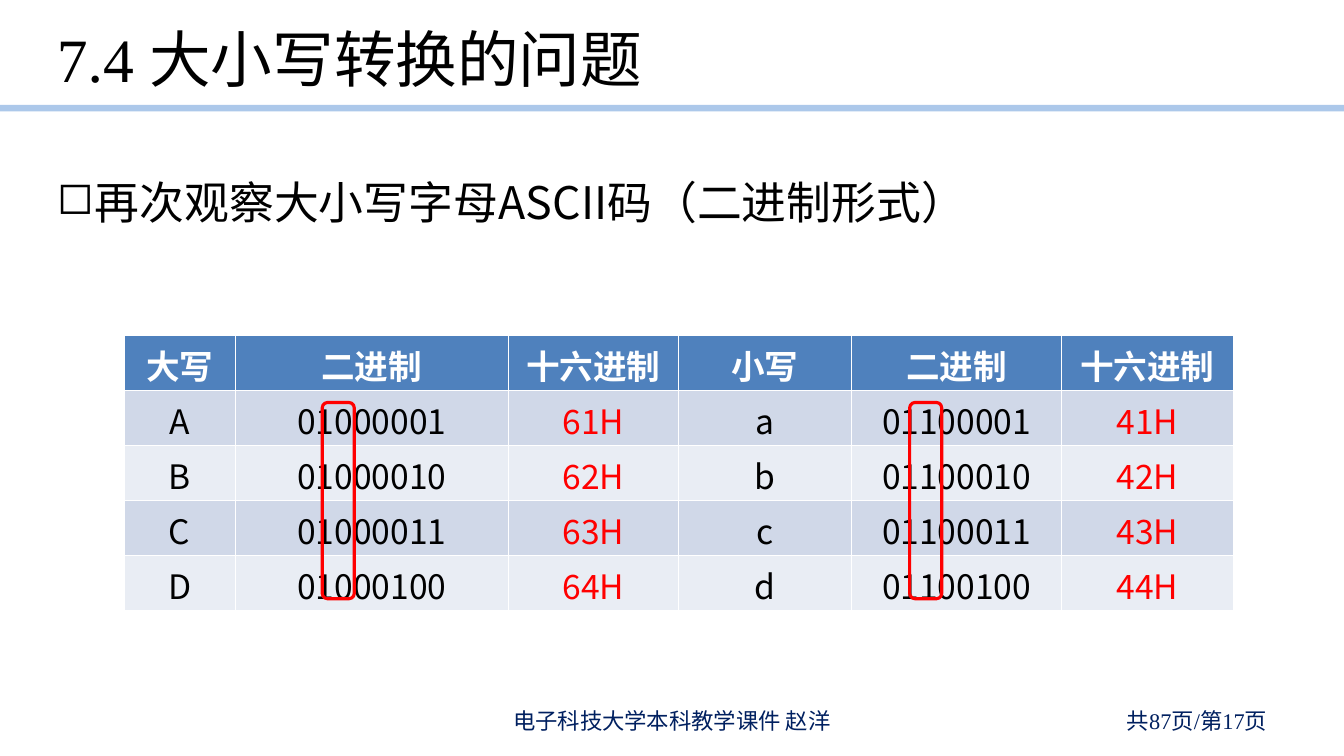
from dataclasses import dataclass

import pptx
import pptx.util
from pptx.dml.color import RGBColor
from pptx.enum.shapes import MSO_CONNECTOR, MSO_SHAPE
from pptx.enum.text import MSO_ANCHOR, PP_ALIGN
from pptx.oxml.ns import qn
from lxml import etree

EMU_PER_PX = 9080


@dataclass(frozen=True)
class Theme:
    sans: str = "Noto Sans CJK SC"
    serif: str = "Times New Roman"
    ink: str = "000000"
    navy: str = "002060"
    red: str = "FF0000"
    white: str = "FFFFFF"
    rule: str = "8EB4E3"
    header: str = "4F81BD"
    bands: tuple = ("D0D8E8", "E9EDF4")
    title_size: int = 44
    body_size: int = 32
    table_size: int = 24
    footer_size: int = 16


def px(length):
    return pptx.util.Emu(length * EMU_PER_PX)


def rgb(color):
    return RGBColor.from_string(color)


def sub(parent, tag, **attributes):
    return etree.SubElement(parent, qn(tag), attributes)


def write(frame, text, *, size, color, font, align=PP_ALIGN.LEFT,
          bold=False, bullet=None, hang=0):
    """Fill the first paragraph of a text frame with one formatted run."""
    paragraph = frame.paragraphs[0]
    paragraph.alignment = align
    if bullet:
        properties = paragraph._p.get_or_add_pPr()
        properties.set("marL", str(px(hang)))
        properties.set("indent", str(-px(hang)))
        sub(properties, "a:buChar", char=bullet)
    run = paragraph.add_run()
    run.text = text
    run.font.size = pptx.util.Pt(size)
    run.font.bold = bold
    run.font.color.rgb = rgb(color)
    run.font.name = font
    sub(run._r.get_or_add_rPr(), "a:ea", typeface=Theme.sans)


class Slide:
    def __init__(self, deck, theme):
        self.theme = theme
        self.shapes = deck.slides.add_slide(deck.slide_layouts[6]).shapes

    def rule(self, y, width, weight, opacity):
        line = self.shapes.add_connector(
            MSO_CONNECTOR.STRAIGHT, 0, px(y), px(width), px(y))
        line.line.width = pptx.util.Pt(weight)
        line.line.color.rgb = rgb(self.theme.rule)
        color = line._element.spPr.find(".//" + qn("a:srgbClr"))
        sub(color, "a:alpha", val=str(opacity * 1000))
        sub(line._element.spPr, "a:effectLst")

    def text(self, box, text, *, anchor=MSO_ANCHOR.MIDDLE, inset_top=5, **style):
        frame = self.shapes.add_textbox(*map(px, box)).text_frame
        frame.word_wrap = True
        frame.vertical_anchor = anchor
        frame.margin_top = px(inset_top)
        write(frame, text, **style)

    def cell(self, cell, text, *, fill, color, top=0.45, bottom=0.45, bold=False):
        properties = cell._tc.get_or_add_tcPr()
        edges = {"a:lnL": 0.45, "a:lnR": 0.45, "a:lnT": top, "a:lnB": bottom}
        for tag, weight in edges.items():
            edge = sub(properties, tag, w=str(pptx.util.Pt(weight)))
            sub(sub(edge, "a:solidFill"), "a:srgbClr", val=self.theme.white)
        cell.fill.solid()
        cell.fill.fore_color.rgb = rgb(fill)
        write(cell.text_frame, text, size=self.theme.table_size, color=color,
              font=self.theme.sans, align=PP_ALIGN.CENTER, bold=bold)

    def table(self, left, top, widths, row_height, rows):
        theme = self.theme
        table = self.shapes.add_table(
            len(rows), len(widths), px(left), px(top),
            px(sum(widths)), px(row_height * len(rows))).table
        for column, width in zip(table.columns, widths):
            column.width = px(width)
        for r, row in enumerate(rows):
            for c, text in enumerate(row):
                if r == 0:
                    style = dict(fill=theme.header, color=theme.white,
                                 bottom=1.47, bold=True)
                else:
                    style = dict(fill=theme.bands[(r - 1) % 2],
                                 color=theme.red if c % 3 == 2 else theme.ink,
                                 top=1.47 if r == 1 else 0.45)
                self.cell(table.cell(r, c), text, **style)

    def highlight(self, box):
        frame = self.shapes.add_shape(MSO_SHAPE.ROUNDED_RECTANGLE, *map(px, box))
        frame.shadow.inherit = False
        frame.fill.background()
        frame.line.color.rgb = rgb(self.theme.red)
        frame.line.width = pptx.util.Pt(2.25)


def main():
    theme = Theme()
    deck = pptx.Presentation()
    deck.slide_width, deck.slide_height = px(1343), px(755)
    slide = Slide(deck, theme)

    slide.rule(108, 1343, 4.75, 73)
    slide.text((47, 9, 1110, 98), "7.4 大小写转换的问题",
               size=theme.title_size, color=theme.ink, font=theme.serif)
    slide.text((47, 149, 1238, 498), "再次观察大小写字母ASCII码（二进制形式）",
               anchor=MSO_ANCHOR.TOP, inset_top=25, size=theme.body_size,
               color=theme.ink, font=theme.sans, align=PP_ALIGN.JUSTIFY,
               bullet="◻", hang=38)
    footer = dict(size=theme.footer_size, color=theme.navy)
    slide.text((459, 700, 425, 40), "电子科技大学本科教学课件 赵洋",
               font=theme.sans, align=PP_ALIGN.CENTER, **footer)
    slide.text((963, 700, 313, 40), "共87页/第17页",
               font=theme.serif, align=PP_ALIGN.RIGHT, **footer)

    codes = [["大写", "二进制", "十六进制", "小写", "二进制", "十六进制"]]
    for n, letter in enumerate("ABCD", start=1):
        codes.append([letter, f"{0x40 + n:08b}", f"6{n}H",
                      letter.lower(), f"{0x60 + n:08b}", f"4{n}H"])
    slide.table(124, 335, (111, 273, 170, 173, 210, 171), 55, codes)
    for case_bit_left in (322, 909):
        slide.highlight((case_bit_left, 402, 32, 196))

    deck.save("out.pptx")


if __name__ == "__main__":
    main()
